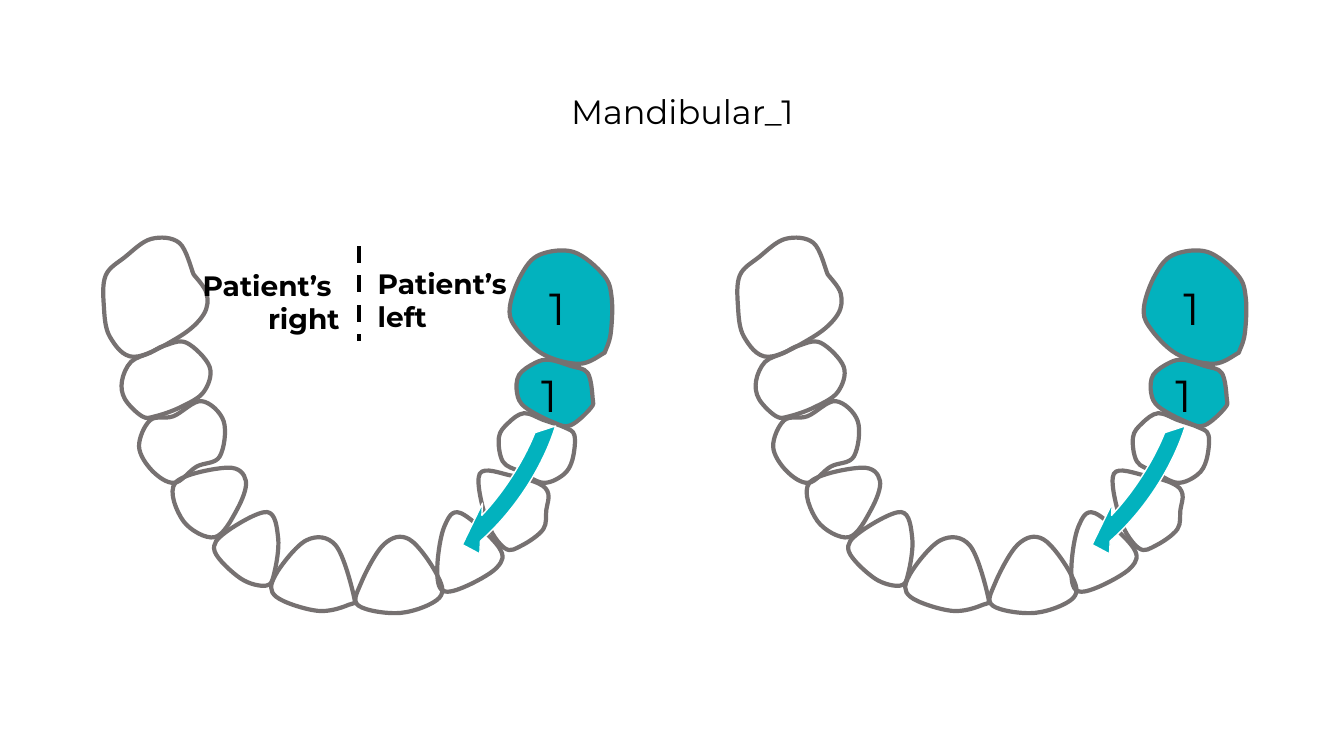
from lxml import etree
from pptx import Presentation
from pptx.dml.color import RGBColor
from pptx.enum.dml import MSO_LINE
from pptx.enum.shapes import MSO_CONNECTOR, MSO_SHAPE
from pptx.enum.text import MSO_AUTO_SIZE, PP_ALIGN
from pptx.oxml.ns import qn
from pptx.util import Cm, Pt

LEFT, CENTER, RIGHT = PP_ALIGN.LEFT, PP_ALIGN.CENTER, PP_ALIGN.RIGHT
FIT_SHAPE = MSO_AUTO_SIZE.SHAPE_TO_FIT_TEXT
STRAIGHT = MSO_CONNECTOR.STRAIGHT
CIRCULAR_ARROW = MSO_SHAPE.CIRCULAR_ARROW
DASH = MSO_LINE.DASH

COLORS = {"text": "000000", "outline": "767171", "teal": "02B2BE", "white": "FFFFFF"}
FONT = "Montserrat"
TOOTH_UNIT = Cm(2.54) / 100  # tooth outlines are in hundredths of an inch

# Outline points, joined by a smooth closed curve; a doubled point is a corner
PLAIN_TEETH = [
    # Patient's right, from the front to the back
    [(346, 600), (351, 591), (333, 541), (304, 536), (273, 571), (274, 592), (315, 606)],
    [(272, 569), (276, 534), (265, 508), (224, 528), (213, 547), (239, 574), (264, 581)],
    [(244, 477), (235, 506), (213, 533), (182, 517), (174, 479), (226, 464)],
    [(173, 479), (195, 463), (218, 453), (222, 418), (200, 398), (172, 413),
     (149, 417), (138, 443), (151, 467)],
    [(179, 404), (202, 389), (208, 364), (185, 340), (163, 343), (149, 350),
     (130, 359), (121, 378), (124, 396), (141, 413), (154, 413)],
    [(178, 334), (202, 312), (205, 291), (192, 272), (192, 272), (178, 241),
     (150, 237), (124, 255), (105, 273), (103, 303), (109, 334), (133, 354)],
    # Patient's left, from the front to the back
    [(356, 601), (358, 579), (381, 540), (406, 535), (433, 569), (436, 593), (398, 608)],
    [(493, 563), (495, 543), (457, 509), (441, 522), (434, 560), (438, 585), (459, 583)],
    [(542, 506), (544, 490), (535, 480), (508, 472), (476, 470), (483, 517),
     (501, 544), (518, 541), (539, 525)],
    [(568, 456), (559, 471), (539, 479), (516, 468), (499, 458), (495, 434),
     (504, 420), (520, 410), (540, 417), (560, 424), (570, 432)],
]
MARKED_TEETH = [
    [(588, 395), (586, 405), (566, 422), (549, 419), (521, 404), (513, 390),
     (515, 372), (531, 360), (545, 357), (566, 363), (583, 370)],
    [(607, 296), (599, 273), (569, 250), (535, 253), (517, 273), (506, 304),
     (511, 324), (538, 351), (575, 361), (600, 350), (600, 350), (606, 331)],
]


def curve_points(points):
    """Give two control points and an end point for each curve of the outline."""
    count = len(points)
    result = []
    for index in range(count):
        before, start, end, after = (points[(index + step) % count] for step in (-1, 0, 1, 2))
        if start == end:
            continue
        first = [s + (e - b) / 6 for b, s, e in zip(before, start, end)]
        second = [e - (a - s) / 6 for s, e, a in zip(start, end, after)]
        result += [first, second, end]
    return [(x * TOOTH_UNIT, y * TOOTH_UNIT) for x, y in result]


def bend_segments(shape):
    """Turn each three line segments of a freeform into one Bézier curve."""
    path = shape._element.find(".//" + qn("a:path"))
    segments = path.findall(qn("a:lnTo"))
    for index in range(0, len(segments), 3):
        curve = etree.Element(qn("a:cubicBezTo"))
        segments[index].addprevious(curve)
        for segment in segments[index:index + 3]:
            curve.append(segment[0])
            path.remove(segment)


def write_text(paragraph, text, size=20, bold=False, align=LEFT, color="text"):
    paragraph.alignment = align
    run = paragraph.add_run()
    run.text = text
    run.font.name = FONT
    run.font.size = Pt(size)
    run.font.bold = bold
    run.font.color.rgb = RGBColor.from_string(COLORS[color])


class SlideBuilder:
    def __init__(self, slide):
        self.slide = slide
        self.shapes = slide.shapes

    def start_group(self):
        self.shapes = self.slide.shapes.add_group_shape().shapes

    def paint(self, shape, fill, line, width):
        shape.shadow.inherit = False
        if fill:
            shape.fill.solid()
            shape.fill.fore_color.rgb = RGBColor.from_string(COLORS[fill])
        else:
            shape.fill.background()
        shape.line.color.rgb = RGBColor.from_string(COLORS[line])
        shape.line.width = Pt(width)

    def text(self, left, top, width, height, lines, **style):
        box = self.shapes.add_textbox(Cm(left), Cm(top), Cm(width), Cm(height))
        frame = box.text_frame
        frame.word_wrap = True
        frame.auto_size = FIT_SHAPE
        for index, line in enumerate(lines):
            paragraph = frame.add_paragraph() if index else frame.paragraphs[0]
            write_text(paragraph, line, **style)

    def tooth(self, points, shift, fill=None):
        outline = curve_points(points)
        builder = self.shapes.build_freeform(*outline[-1])
        builder.add_line_segments(outline, close=False)
        shape = builder.convert_to_shape(Cm(shift), 0)
        bend_segments(shape)
        etree.SubElement(shape._element.find(".//" + qn("a:path")), qn("a:close"))
        self.paint(shape, fill, "outline", 3)

    def dashed_line(self, x, top, bottom):
        line = self.shapes.add_connector(STRAIGHT, Cm(x), Cm(top), Cm(x), Cm(bottom))
        line.line.color.rgb = RGBColor.from_string(COLORS["text"])
        line.line.width = Pt(3)
        line.line.dash_style = DASH
        etree.SubElement(line._element.spPr, qn("a:effectLst"))

    def curved_arrow(self, left, top, width, height):
        arrow = self.shapes.add_shape(CIRCULAR_ARROW, Cm(left), Cm(top), Cm(width), Cm(height))
        for index, value in enumerate((0.107, 8.273, 189.005, 130.563, 0.152)):
            arrow.adjustments[index] = value
        arrow.rotation = 304.3
        for flip in ("flipH", "flipV"):
            arrow._element.spPr.xfrm.set(flip, "1")
        self.paint(arrow, "teal", "white", 1)

    def arch(self, shift, arrow_left, with_sides=False):
        self.start_group()
        for points in PLAIN_TEETH:
            self.tooth(points, shift)
        for points in MARKED_TEETH:
            self.tooth(points, shift, fill="teal")
        if with_sides:
            self.text(3.2, 6.63, 5.61, 1.96, ["Patient’s ", "right"], bold=True, align=RIGHT)
            self.text(9.27, 6.58, 3.91, 1.96, ["Patient’s", "left"], bold=True)
            self.dashed_line(9.04, 6.2, 8.59)
        for left, top in ((13.59, 6.96), (13.39, 9.14)):
            self.text(left + shift, top, 1.65, 1.63, ["1"], size=32)
        self.curved_arrow(arrow_left, 9.35, 7.75, 4.22)


def main():
    presentation = Presentation()
    presentation.slide_width = Cm(33.87)
    presentation.slide_height = Cm(19.05)
    builder = SlideBuilder(presentation.slides.add_slide(presentation.slide_layouts[6]))

    # Title
    builder.text(13.61, 2.16, 7.39, 1.27, ["Mandibular_1 "], size=24, align=CENTER)

    # Lower arch with the patient's sides named, then the plain arch
    builder.arch(0, 7.9, with_sides=True)
    builder.arch(15.98, 23.77)

    presentation.save("out.pptx")


if __name__ == "__main__":
    main()
